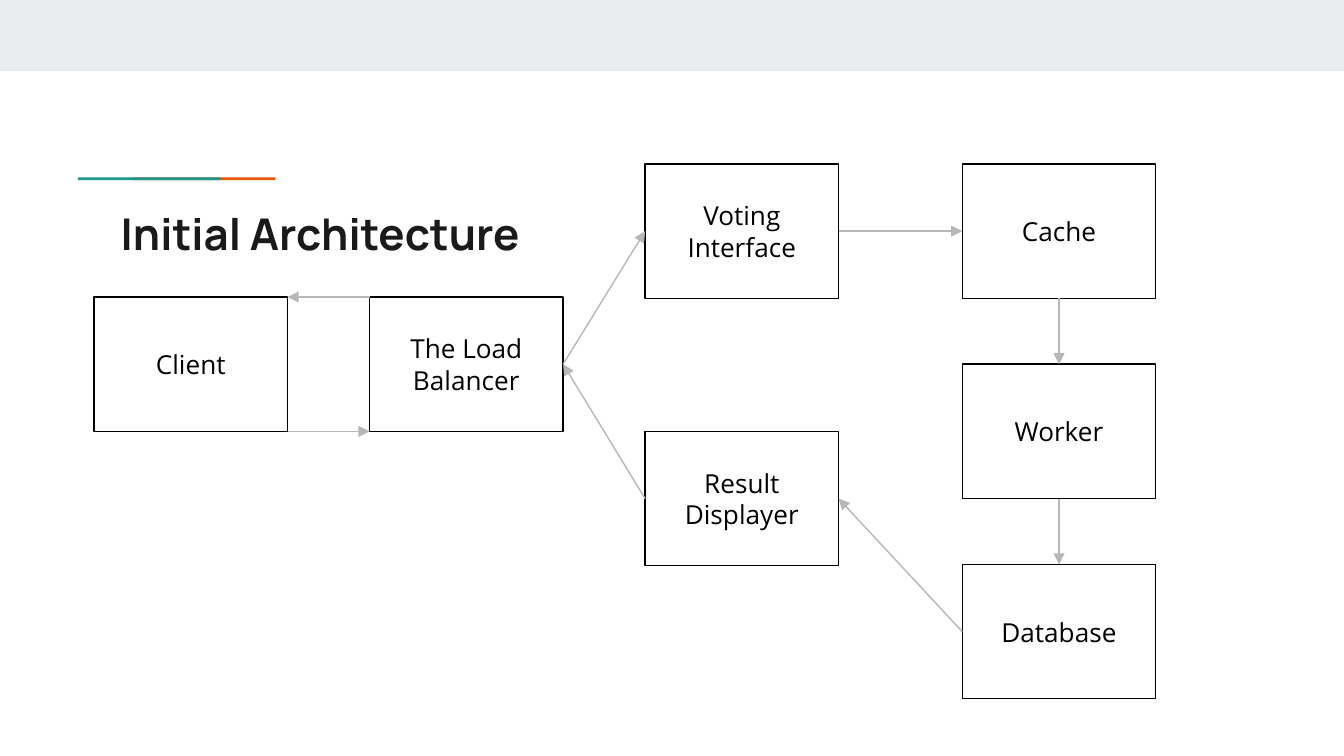
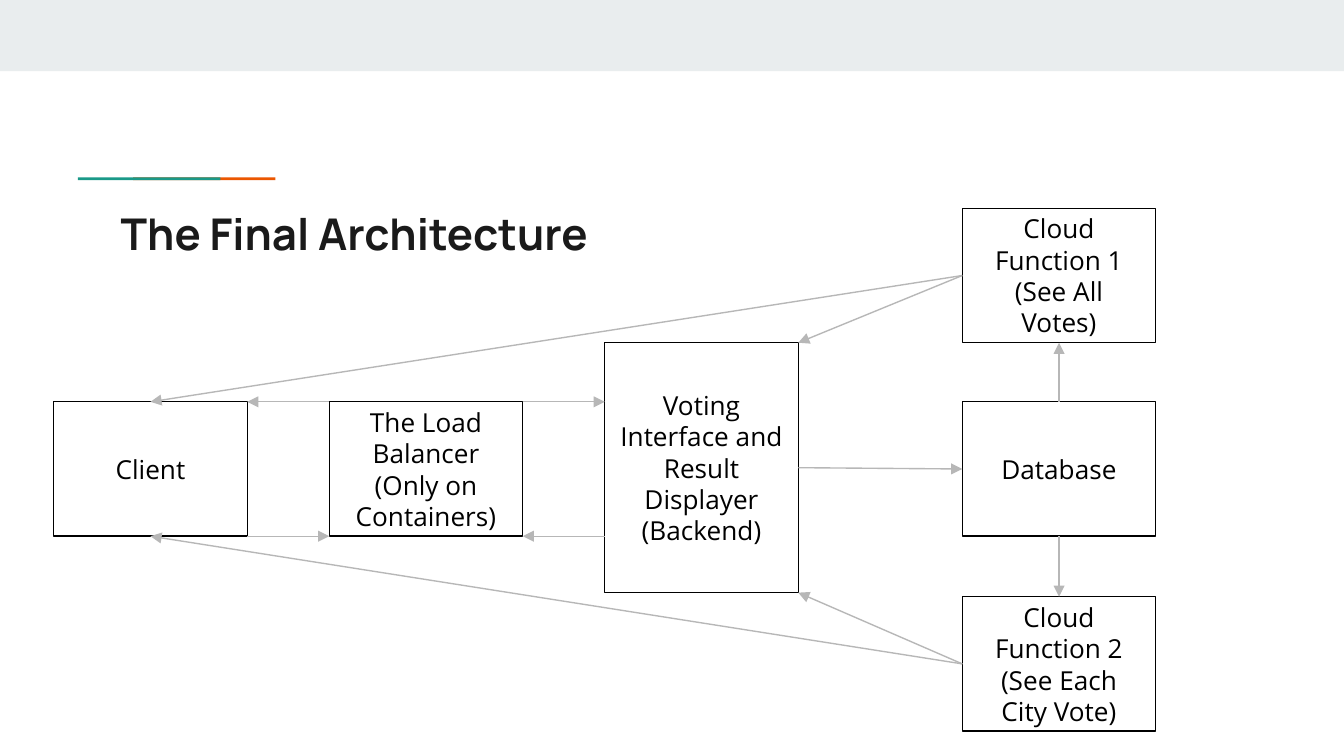
from lxml.etree import SubElement
from pptx import Presentation
from pptx.dml.color import RGBColor
from pptx.enum.shapes import MSO_CONNECTOR, MSO_SHAPE
from pptx.enum.text import MSO_ANCHOR, PP_ALIGN
from pptx.oxml.ns import qn
from pptx.util import Inches, Pt

BAND = RGBColor(0xE9, 0xED, 0xEE)
ORANGE = RGBColor(0xEB, 0x56, 0x00)
TEAL = RGBColor(0x1A, 0x99, 0x88)
INK = RGBColor(0x1A, 0x1A, 0x1A)
BLACK = RGBColor(0, 0, 0)
WHITE = RGBColor(0xFF, 0xFF, 0xFF)
GREY = RGBColor(0xB7, 0xB7, 0xB7)

WIDE, HIGH = 1.44, 1.0  # size of a node
STEP = 2.05  # from one node column to the next
THIN = Pt(0.75)

# Points on a node, as shares of its width and height
TOP, LEFT, BOTTOM, RIGHT = (0.5, 0), (0, 0.5), (0.5, 1), (1, 0.5)
SIDES = [TOP, LEFT, BOTTOM, RIGHT]  # in the order of a rectangle's sites
TOP_LEFT, TOP_RIGHT, LOW_LEFT, LOW_RIGHT = (0, 0), (1, 0), (0, 1), (1, 1)


def rect(slide, x, y, w, h, fill):
    shape = slide.shapes.add_shape(
        MSO_SHAPE.RECTANGLE, Inches(x), Inches(y), Inches(w), Inches(h))
    shape.shadow.inherit = False
    shape.fill.solid()
    shape.fill.fore_color.rgb = fill
    shape.line.fill.background()
    return shape


def write(shape, text, font, size, color, align, bold=False):
    frame = shape.text_frame
    frame.word_wrap = True
    frame.margin_left = frame.margin_right = Inches(0.1)
    frame.margin_top = frame.margin_bottom = Inches(0.1)
    frame.text = text
    for para in frame.paragraphs:
        para.alignment = align
        for run in para.runs:
            run.font.name = font
            run.font.size = Pt(size)
            run.font.bold = bold
            run.font.color.rgb = color
    return frame


def node(slide, x, y, text, h=HIGH):
    shape = rect(slide, x, y, WIDE, h, WHITE)
    shape.line.color.rgb = BLACK
    shape.line.width = THIN
    frame = write(shape, text, "Open Sans", 14, BLACK, PP_ALIGN.CENTER)
    frame.vertical_anchor = MSO_ANCHOR.MIDDLE
    return shape


def spot(shape, share):
    return (shape.left + int(shape.width * share[0]),
            shape.top + int(shape.height * share[1]))


def link(slide, tail, start, head, end):
    """Draw an arrow between two nodes, glued wherever it meets mid-side."""
    line = slide.shapes.add_connector(
        MSO_CONNECTOR.STRAIGHT, *spot(tail, start), *spot(head, end))
    if start in SIDES:
        line.begin_connect(tail, SIDES.index(start))
    if end in SIDES:
        line.end_connect(head, SIDES.index(end))
    line.line.color.rgb = GREY
    line.line.width = THIN
    props = line._element.spPr
    SubElement(props.find(qn("a:ln")), qn("a:tailEnd"), type="triangle")
    SubElement(props, qn("a:effectLst"))


def base(deck, title):
    """Add a slide with the band, the accent rule and the title."""
    slide = deck.slides.add_slide(deck.slide_layouts[6])
    rect(slide, 0, 0, 10, 0.53, BAND)
    for x, color in ((0.99, ORANGE), (0.58, TEAL)):
        rect(slide, x, 1.32, 1.06, 0.02, color)
    box = slide.shapes.add_textbox(
        Inches(0.8), Inches(1.44), Inches(8.41), Inches(0.59))
    write(box, title, "Manrope", 23.4, INK, PP_ALIGN.LEFT, bold=True)
    return slide


def first(slide, x, y, w, h):
    """Lay out the initial architecture in the given box."""
    far = x + w - WIDE
    drop = (h - HIGH) / 2
    row = y + 0.99
    client = node(slide, x, row, "Client")
    load = node(slide, x + STEP, row, "The Load Balancer")
    vote = node(slide, x + 2 * STEP, y, "Voting Interface")
    result = node(slide, x + 2 * STEP, y + 1.99, "Result Displayer")
    cache, worker, data = [
        node(slide, far, y + i * drop, text)
        for i, text in enumerate(("Cache", "Worker", "Database"))]

    for ends in (
            (load, TOP_LEFT, client, TOP_RIGHT),
            (vote, RIGHT, cache, LEFT),
            (worker, BOTTOM, data, TOP),
            (cache, BOTTOM, worker, TOP),
            (data, LEFT, result, RIGHT),
            (load, RIGHT, vote, LEFT),
            (result, LEFT, load, RIGHT),
            (client, LOW_RIGHT, load, LOW_LEFT)):
        link(slide, *ends)


def final(slide, x, y, w, h):
    """Lay out the final architecture in the given box."""
    far = x + w - WIDE
    row = y + 1.44
    tall, rise = 1.86, 0.44
    client = node(slide, x, row, "Client")
    load = node(slide, x + STEP, row,
                "The Load Balancer\n(Only on Containers)")
    back = node(slide, x + 2 * STEP, row - rise,
                "Voting Interface and\nResult Displayer (Backend)", tall)
    every = node(slide, far, y, "Cloud Function 1 (See All Votes)")
    city = node(slide, far, y + h - HIGH,
                "Cloud Function 2 (See Each City Vote)")
    data = node(slide, far, row, "Database")

    for ends in (
            (load, TOP_LEFT, client, TOP_RIGHT),
            (every, LEFT, back, TOP_RIGHT),
            (city, LEFT, back, LOW_RIGHT),
            (load, TOP_RIGHT, back, (0, rise / tall)),
            (back, (0, (rise + HIGH) / tall), load, LOW_RIGHT),
            (client, LOW_RIGHT, load, LOW_LEFT),
            (back, RIGHT, data, LEFT),
            (data, TOP, every, BOTTOM),
            (data, BOTTOM, city, TOP),
            (every, LEFT, client, TOP),
            (city, LEFT, client, BOTTOM)):
        link(slide, *ends)


def main():
    deck = Presentation()
    deck.slide_width = Inches(10)
    deck.slide_height = Inches(10 * 9 / 16)
    first(base(deck, "Initial Architecture"), 0.7, 1.22, 7.9, 3.98)
    final(base(deck, "The Final Architecture"), 0.4, 1.55, 8.2, 3.89)
    deck.save("out.pptx")


if __name__ == "__main__":
    main()
